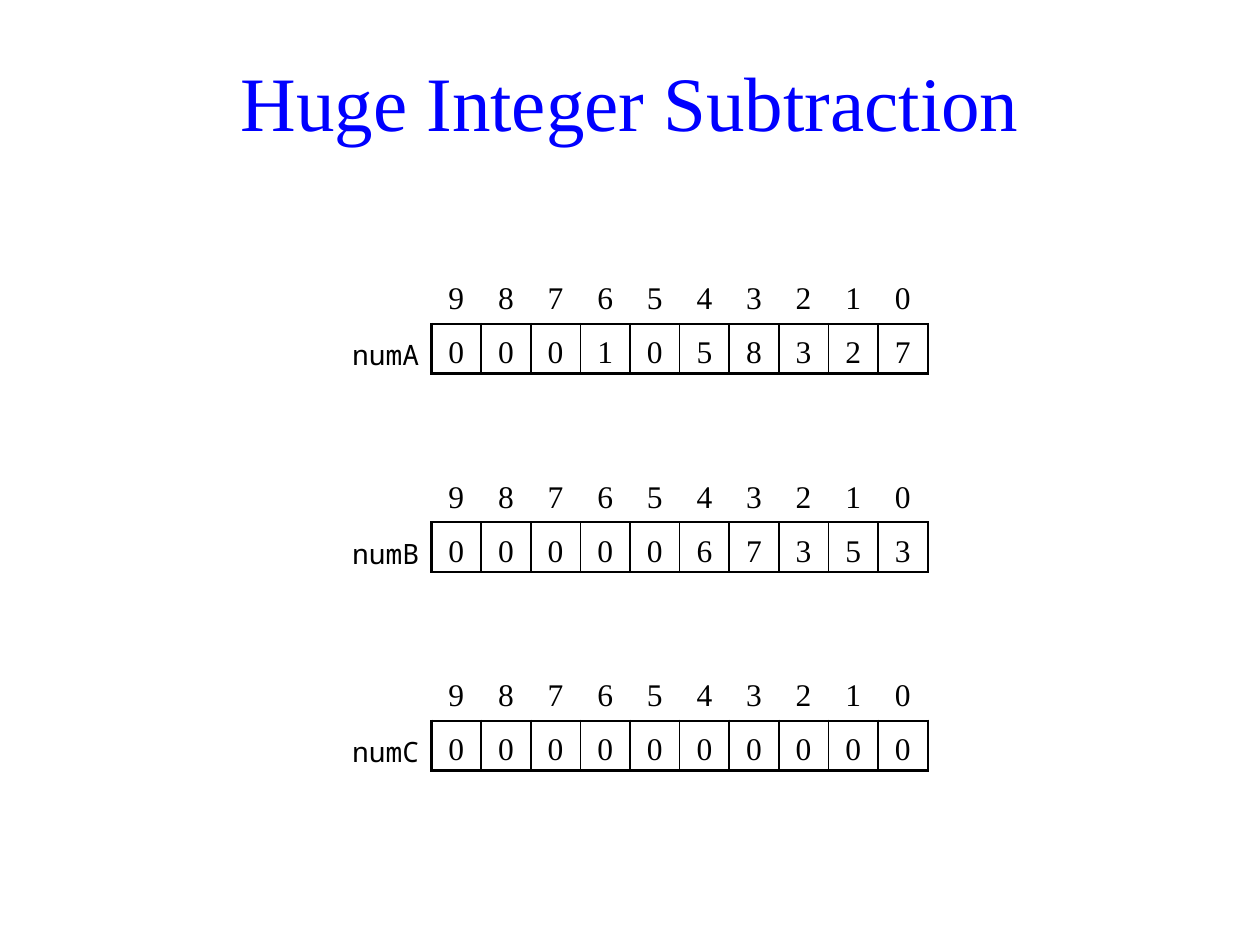
from lxml.etree import SubElement
from pptx import Presentation
from pptx.dml.color import RGBColor
from pptx.enum.text import MSO_ANCHOR as ANCHOR, PP_ALIGN as ALIGN
from pptx.oxml.ns import qn
from pptx.util import Cm, Pt

BLUE = RGBColor(0x00, 0x00, 0xFF)
BLACK = RGBColor(0x00, 0x00, 0x00)
SERIF = "Times New Roman"
MONO = "Noto Sans Mono"
NO_STYLE_NO_GRID = "{2D5ABB26-0587-4C30-8999-92F81FD0307C}"
THIN, THICK = 1, 1.5
CELL = 1
LABEL_WIDTH = 2
ARRAYS = {"numA": "0001058327", "numB": "0000067353", "numC": "0000000000"}
TITLE_FORMAT = {"name": SERIF, "size": Pt(44)}
DIGIT_FORMAT = {"name": SERIF, "size": Pt(18), "bold": False}
LABEL_FORMAT = {"name": MONO, "size": Pt(16), "bold": False}


def write(tf, text, font_format, color, align, spacing=None):
    p = tf.paragraphs[0]
    p.alignment = align
    p.line_spacing = spacing
    r = p.add_run()
    r.text = text
    for key, value in font_format.items():
        setattr(r.font, key, value)
    r.font.color.rgb = color


def set_borders(cell, borders):
    tc_pr = cell._tc.get_or_add_tcPr()
    for side in "LRTB":
        if side in borders:
            ln = SubElement(tc_pr, qn(f"a:ln{side}"), w=str(Pt(borders[side])))
            fill = SubElement(ln, qn("a:solidFill"))
            SubElement(fill, qn("a:srgbClr"), val=str(BLACK))


def set_margins(cell, side=0, end=0):
    margins = {"margin_left": side, "margin_right": side,
               "margin_top": end, "margin_bottom": end}
    for key, value in margins.items():
        setattr(cell, key, Cm(value))
    cell.vertical_anchor = ANCHOR.MIDDLE


def add_title(s, x, y, w, h, text):
    tf = s.shapes.add_textbox(Cm(x), Cm(y), Cm(w), Cm(h)).text_frame
    tf.word_wrap = True
    tf.vertical_anchor = ANCHOR.MIDDLE
    write(tf, text, TITLE_FORMAT, BLUE, ALIGN.CENTER)


def add_array(s, x, y, name, digits):
    n = len(digits)
    frame = s.shapes.add_table(2, n + 1, Cm(x), Cm(y),
                               Cm(LABEL_WIDTH + n * CELL), Cm(2 * CELL))
    table = frame.table
    table.first_row = table.horz_banding = False
    table._tbl.tblPr.find(qn("a:tableStyleId")).text = NO_STYLE_NO_GRID
    for row in table.rows:
        row.height = Cm(CELL)
    for i, column in enumerate(table.columns):
        column.width = Cm(CELL if i else LABEL_WIDTH)

    set_margins(table.cell(0, 0))
    label = table.cell(1, 0)
    set_margins(label, 0.25, 0.05)
    set_borders(label, {"R": THICK})
    write(label.text_frame, name, LABEL_FORMAT, BLACK, ALIGN.RIGHT, 1.25)

    for i, digit in enumerate(digits, start=1):
        index_cell, digit_cell = table.cell(0, i), table.cell(1, i)
        set_margins(index_cell)
        set_margins(digit_cell)
        set_borders(index_cell, {"B": THICK})
        set_borders(digit_cell, {"L": THICK if i == 1 else THIN,
                                 "R": THICK if i == n else THIN,
                                 "T": THICK, "B": THICK})
        write(index_cell.text_frame, str(n - i), DIGIT_FORMAT, BLACK, ALIGN.CENTER)
        write(digit_cell.text_frame, digit, DIGIT_FORMAT, BLACK, ALIGN.CENTER, 1.25)

    for cell in table.iter_cells():
        cell.fill.background()


def main():
    prs = Presentation()
    prs.slide_width, prs.slide_height = Cm(25.4), Cm(19.05)
    s = prs.slides.add_slide(prs.slide_layouts[6])
    add_title(s, 1.2, 0.53, 23, 3, "Huge Integer Subtraction")
    for i, (name, digits) in enumerate(ARRAYS.items()):
        add_array(s, 6.7, 5.53 + 4 * i, name, digits)
    prs.save("out.pptx")


if __name__ == "__main__":
    main()
